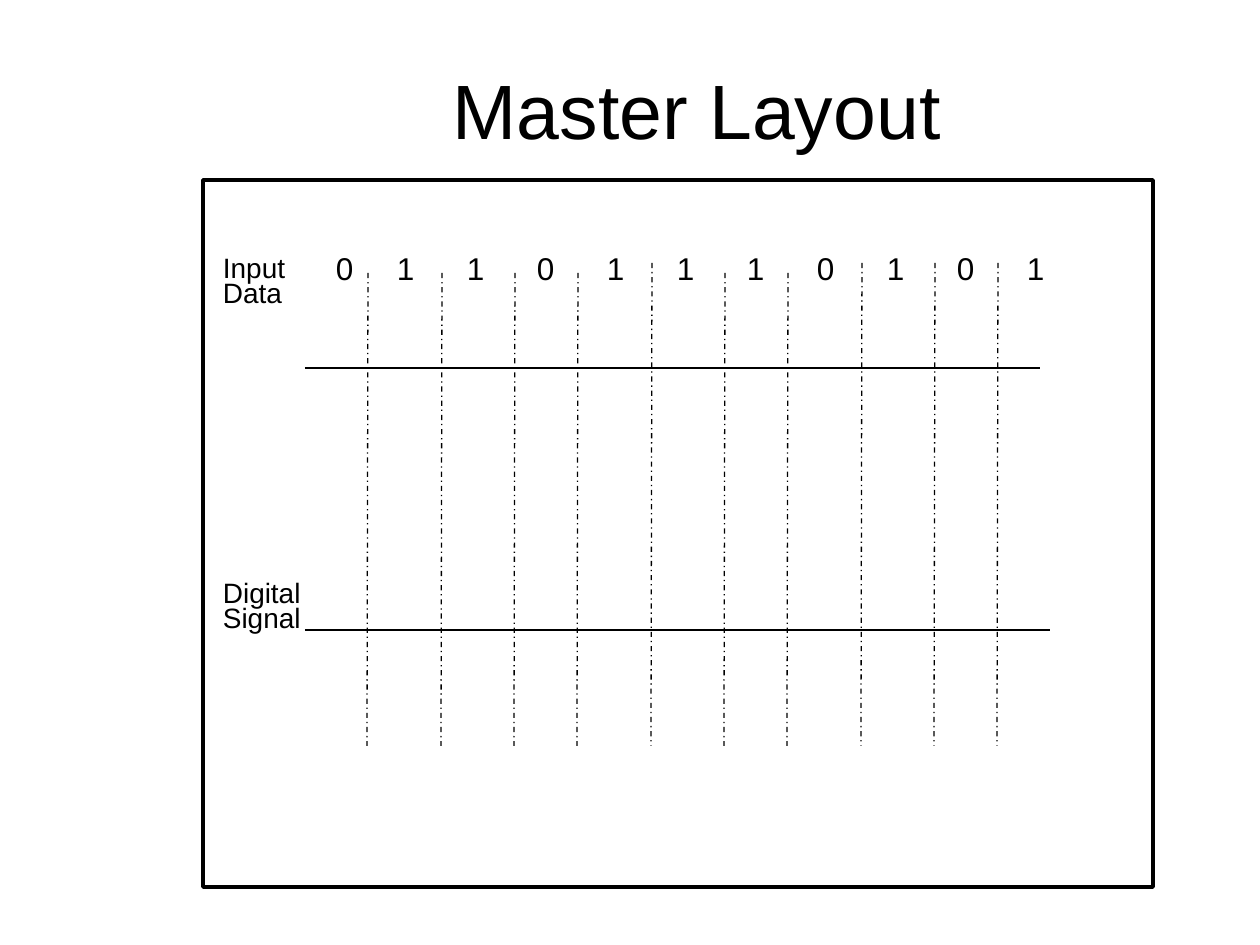
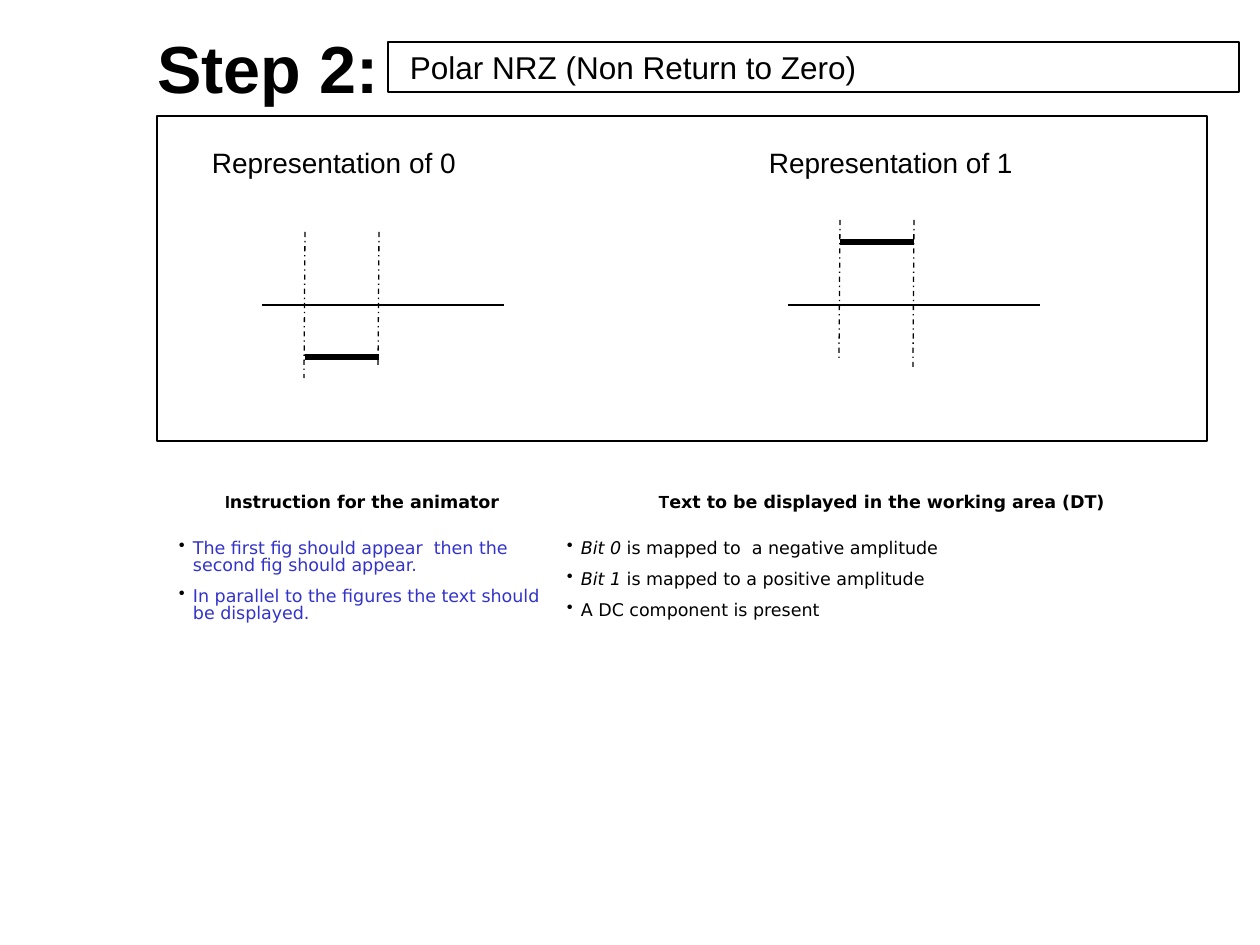
from lxml.etree import SubElement
from pptx import Presentation
from pptx.dml.color import RGBColor
from pptx.enum.dml import MSO_LINE
from pptx.enum.shapes import MSO_CONNECTOR, MSO_SHAPE
from pptx.enum.text import MSO_ANCHOR, MSO_AUTO_SIZE, PP_ALIGN
from pptx.oxml.ns import qn
from pptx.util import Emu, Pt

COLORS = {"ink": "000000", "paper": "FFFFFF", "note": "3333CC"}
HEAD, BODY = "Arial", "DejaVu Sans"
SCALE = 914400 / 126
INSET_X, INSET_Y = 13, 6
HANG = 14


def px(n):
    return Emu(round(n * SCALE))


def rgb(name):
    return RGBColor.from_string(COLORS[name])


class Deck:
    def __init__(self):
        self.prs = Presentation()
        self.prs.slide_width, self.prs.slide_height = px(1260), px(945)

    def new_slide(self, title, box, size, spacing, bold=False,
                  align=PP_ALIGN.LEFT, anchor=MSO_ANCHOR.TOP):
        self.s = self.prs.slides.add_slide(self.prs.slide_layouts[5])
        sp = self.s.shapes.title
        sp.left, sp.top, sp.width, sp.height = map(px, box)
        self.fill_frame(sp.text_frame, title, size, spacing, inset=(0, 0))
        sp.text_frame.vertical_anchor = anchor
        p = sp.text_frame.paragraphs[0]
        p.alignment = align
        p.runs[0].font.bold = bold

    def style(self, r, size, font=HEAD, color="ink", bold=False, italic=False):
        f = r.font
        f.size, f.name, f.bold, f.italic = Pt(size), font, bold, italic
        f.color.rgb = rgb(color)

    def fill_frame(self, tf, text, size, spacing, inset=(INSET_X, INSET_Y)):
        tf.text = text
        tf.word_wrap = True
        tf.auto_size = MSO_AUTO_SIZE.NONE
        tf.vertical_anchor = MSO_ANCHOR.TOP
        tf.margin_left = tf.margin_right = px(inset[0])
        tf.margin_top = tf.margin_bottom = px(inset[1])
        p = tf.paragraphs[0]
        p.alignment = PP_ALIGN.LEFT
        p.line_spacing = spacing
        self.style(p.runs[0], size)

    def label(self, text, box, size=16, stops=()):
        sp = self.s.shapes.add_textbox(*map(px, box))
        self.fill_frame(sp.text_frame, text, size, 0.76)
        if stops:
            pPr = sp.text_frame.paragraphs[0]._p.get_or_add_pPr()
            tabs = SubElement(pPr, qn("a:tabLst"))
            for stop in stops:
                SubElement(tabs, qn("a:tab"), pos=str(px(stop)), algn="l")

    def frame(self, box, weight=0.75, fill=None, rounded=True):
        kind = MSO_SHAPE.ROUNDED_RECTANGLE if rounded else MSO_SHAPE.RECTANGLE
        sp = self.s.shapes.add_shape(kind, *map(px, box))
        if rounded:
            sp.adjustments[0] = 0
        sp.shadow.inherit = False
        if fill:
            sp.fill.solid()
            sp.fill.fore_color.rgb = rgb(fill)
        else:
            sp.fill.background()
        sp.line.color.rgb = rgb("ink")
        sp.line.width = Pt(weight)
        return sp

    def line(self, x1, y1, x2, y2, weight=0.75, dashed=False):
        c = self.s.shapes.add_connector(MSO_CONNECTOR.STRAIGHT, *map(px, (x1, y1, x2, y2)))
        SubElement(c._element.spPr, qn("a:effectLst"))
        c.line.color.rgb = rgb("ink")
        c.line.width = Pt(weight)
        if dashed:
            c.line.dash_style = MSO_LINE.DASH_DOT

    def bit_edge(self, x, top, bottom):
        self.line(x, top, x - 1, bottom, dashed=True)

    def cell(self, cell, paragraphs, bullets):
        cell.fill.background()
        cell.margin_left = cell.margin_right = px(11)
        cell.margin_top = cell.margin_bottom = px(INSET_Y)
        cell.vertical_anchor = MSO_ANCHOR.TOP if bullets else MSO_ANCHOR.MIDDLE
        tf = cell.text_frame
        for i, runs in enumerate(paragraphs):
            p = tf.add_paragraph() if i else tf.paragraphs[0]
            p.alignment = PP_ALIGN.LEFT if bullets else PP_ALIGN.CENTER
            p.line_spacing = 0.83 if bullets else 0.76
            p.space_before = Pt(8)
            for text, look in runs:
                r = p.add_run()
                r.text = text
                self.style(r, 10, **{"font": BODY, "bold": not bullets, **look})
            pPr = p._p.get_or_add_pPr()
            pPr.set("marL", str(px(HANG)))
            pPr.set("indent", str(-px(HANG)))
            if bullets:
                SubElement(SubElement(pPr, qn("a:buClr")), qn("a:srgbClr"), val=COLORS["ink"])
                SubElement(pPr, qn("a:buChar"), char="•")

    def table(self, left, top, widths, heights, rows):
        box = (left, top, sum(widths), sum(heights))
        tbl = self.s.shapes.add_table(len(heights), len(widths), *map(px, box)).table
        tbl.first_row = tbl.horz_banding = False
        for col, w in zip(tbl.columns, widths):
            col.width = px(w)
        for i, (row, h) in enumerate(zip(rows, heights)):
            tbl.rows[i].height = px(h)
            for j, paragraphs in enumerate(row):
                self.cell(tbl.cell(i, j), paragraphs, bullets=i > 0)


def master_layout(deck):
    deck.new_slide("Master Layout", (198, 38, 998, 158), 44, 0.81,
                   align=PP_ALIGN.CENTER, anchor=MSO_ANCHOR.MIDDLE)
    deck.frame((203, 180, 950, 707), weight=2)
    deck.line(305, 368, 1040, 368)
    deck.line(305, 630, 1050, 630)
    for i in range(10):
        x = 368 + 210 * (i // 3) + (0, 74, 147)[i % 3]
        deck.bit_edge(x, 263 if i in (4, 7, 8, 9) else 273, 746)
    bits = "01101110101"
    stops = [18] + [79 + 70 * i for i in range(len(bits) - 1)]
    deck.label("".join("\t" + bit for bit in bits), (305, 252, 766, 42), 18, stops)
    deck.label("Input Data", (210, 252, 95, 64))
    deck.label("Digital Signal", (210, 577, 105, 64))


def polar_nrz(deck):
    deck.new_slide("Step 2:", (157, 32, 252, 84), 38, 0.96, bold=True)
    deck.frame((157, 116, 1050, 325), fill="paper")
    topic = deck.frame((388, 42, 851, 50), rounded=False)
    deck.fill_frame(topic.text_frame, "Polar NRZ (Non Return to Zero)", 18, 1.0, (22, INSET_Y))

    initial, note, italic = {"font": HEAD}, {"color": "note"}, {"italic": True}
    headings = [
        [[("I", initial), ("nstruction for the animator", {})]],
        [[("T", initial), ("ext to be displayed in the working area (DT)", {})]],
    ]
    details = [
        [[("The first fig should appear  then the second fig should appear.", note)],
         [("In parallel to the figures the text should be displayed.", note)]],
        [[("Bit 0 ", italic), ("is mapped to  a negative amplitude", {})],
         [("Bit 1 ", italic), ("is mapped to a positive amplitude", {})],
         [("A DC component is present", {})]],
    ]
    deck.table(168, 472, (388, 651), (63, 374), (headings, details))

    figures = [
        ("0", (199, 147, 325, 39), (262, 504), 305, 232, (378, 368), 357),
        ("1", (756, 147, 378, 39), (788, 1040), 840, 220, (358, 368), 242),
    ]
    for bit, box, (start, end), x, top, bottoms, level in figures:
        deck.label(f"Representation of {bit}", box)
        deck.line(start, 305, end, 305)
        for i, bottom in enumerate(bottoms):
            deck.bit_edge(x + 74 * i, top, bottom)
        deck.line(x, level, x + 74, level, weight=3)


def main():
    deck = Deck()
    master_layout(deck)
    polar_nrz(deck)
    deck.prs.save("out.pptx")


if __name__ == "__main__":
    main()
